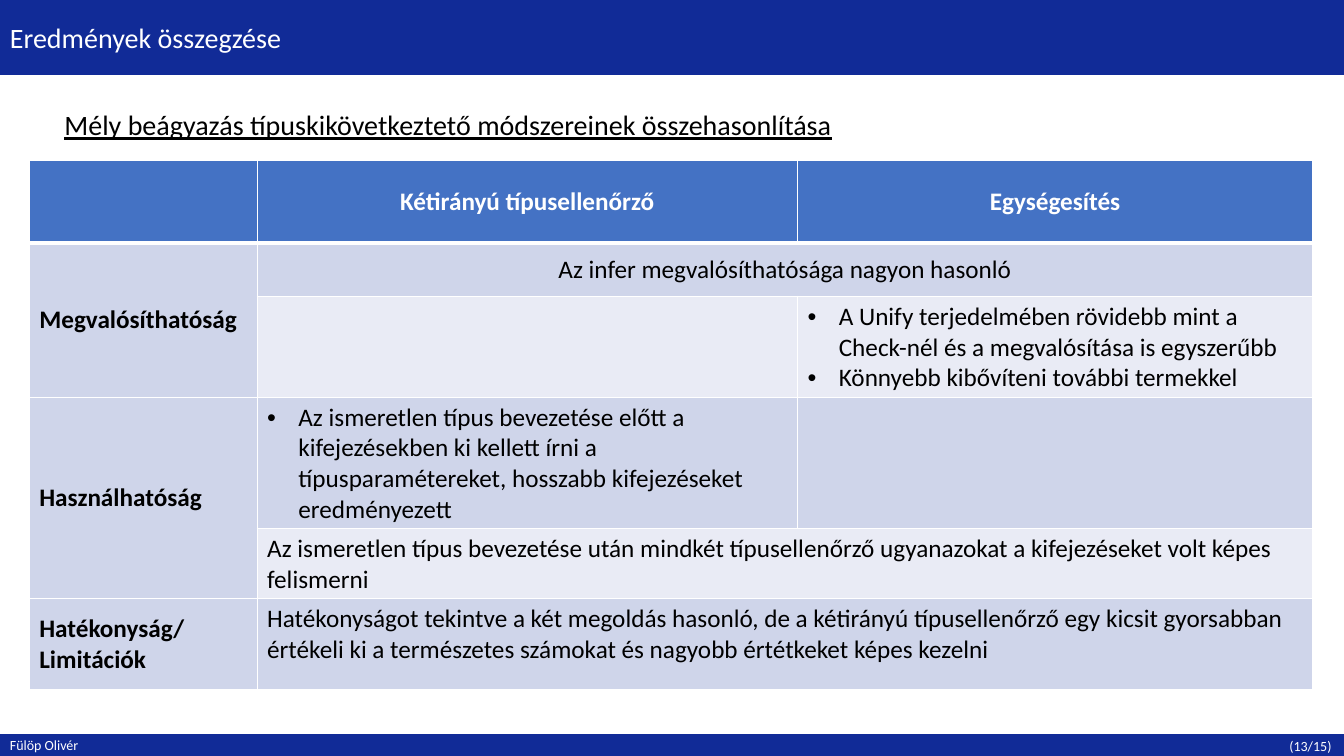
from pptx import Presentation
from pptx.dml.color import RGBColor as RGB
from pptx.enum.shapes import MSO_SHAPE as Shape
from pptx.enum.text import MSO_ANCHOR as Anchor, PP_ALIGN as Align
from pptx.oxml import parse_xml
from pptx.oxml.ns import nsdecls
from pptx.util import Inches, Pt

COLORS = {"navy": "112B97", "head": "4472C4", "dark": "CFD5EA",
          "light": "E9EBF5", "white": "FFFFFF", "black": "000000"}


def color(name):
    return RGB.from_string(COLORS[name])


def write(para, text, size, tint, bold=False, under=False):
    run = para.add_run()
    run.text = text
    font = run.font
    font.name, font.size = "Calibri", Pt(size)
    font.bold, font.underline = bold, under
    font.color.rgb = color(tint)


prs = Presentation()
prs.slide_width, prs.slide_height = Inches(13.33), Inches(7.5)
slide = prs.slides.add_slide(prs.slide_layouts[6])

# Top and bottom bars
for top, height in [(0, 0.74), (7.29, 0.21)]:
    bar = slide.shapes.add_shape(
        Shape.RECTANGLE, 0, Inches(top), Inches(13.33), Inches(height))
    bar.shadow.inherit = False
    bar.fill.solid()
    bar.fill.fore_color.rgb = color("navy")
    bar.line.color.rgb = color("navy")
    bar.line.width = Pt(1)

# Title, subtitle and footer
labels = [
    (0, 0.15, 5.32, 0.44, "Eredmények összegzése", 20, "white", False),
    (0.54, 1.02, 7.92, 0.44,
     "Mély beágyazás típuskikövetkeztető módszereinek összehasonlítása",
     20, "black", True),
    (0, 7.26, 1.08, 0.27, "Fülöp Olivér", 10, "white", False),
    (12.69, 7.27, 0.64, 0.27, "(13/15)", 10, "white", False),
]
for left, top, width, height, text, size, tint, under in labels:
    box = slide.shapes.add_textbox(
        Inches(left), Inches(top), Inches(width), Inches(height))
    box.text_frame.word_wrap = size == 20
    write(box.text_frame.paragraphs[0], text, size, tint, under=under)

# Table grid
widths = [2.26, 5.36, 5.11]
heights = [0.82, 0.53, 1, 1.3, 0.7, 0.9]
table = slide.shapes.add_table(
    len(heights), len(widths), Inches(0.29), Inches(1.59),
    Inches(sum(widths)), Inches(sum(heights))).table
table.horz_banding = False
for col, width in zip(table.columns, widths):
    col.width = Inches(width)
for row, height in zip(table.rows, heights):
    row.height = Inches(height)

# Cell borders and fills, with a thick line under the header
bands = ["head", "dark", "light", "dark", "light", "dark"]
for r, band in enumerate(bands):
    for c in range(len(widths)):
        cell = table.cell(r, c)
        for side in "LRTB":
            thick = (r, side) in [(0, "B"), (1, "T")]
            cell._tc.get_or_add_tcPr().append(parse_xml(
                f'<a:ln{side} {nsdecls("a")} w="{Pt(3 if thick else 1)}">'
                f'<a:solidFill><a:srgbClr val="{COLORS["white"]}"/>'
                f'</a:solidFill></a:ln{side}>'))
        cell.fill.solid()
        cell.fill.fore_color.rgb = color("dark" if r and c == 0 else band)

# Merged cells
for r, c, end, last in [(1, 0, 2, 0), (3, 0, 4, 0),
                        (1, 1, 1, 2), (4, 1, 4, 2), (5, 1, 5, 2)]:
    table.cell(r, c).merge(table.cell(end, last))

# Cell text: row, column, style, paragraphs
texts = [
    (0, 1, "head", ["Kétirányú típusellenőrző"]),
    (0, 2, "head", ["Egységesítés"]),
    (1, 0, "side", ["Megvalósíthatóság"]),
    (1, 1, "mid", ["Az infer megvalósíthatósága nagyon hasonló"]),
    (2, 2, "list", ["A Unify terjedelmében rövidebb mint a Check-nél "
                    "és a megvalósítása is egyszerűbb",
                    "Könnyebb kibővíteni további termekkel"]),
    (3, 0, "side", ["Használhatóság"]),
    (3, 1, "list", ["Az ismeretlen típus bevezetése előtt a kifejezésekben "
                    "ki kellett írni a típusparamétereket, hosszabb "
                    "kifejezéseket eredményezett"]),
    (4, 1, "body", ["Az ismeretlen típus bevezetése után mindkét "
                    "típusellenőrző ugyanazokat a kifejezéseket volt képes "
                    "felismerni"]),
    (5, 0, "side", ["Hatékonyság/ Limitációk"]),
    (5, 1, "body", ["Hatékonyságot tekintve a két megoldás hasonló, de a "
                    "kétirányú típusellenőrző egy kicsit gyorsabban értékeli "
                    "ki a természetes számokat és nagyobb értétkeket képes "
                    "kezelni"]),
]
for r, c, style, lines in texts:
    cell = table.cell(r, c)
    if style in ("head", "side", "mid"):
        cell.vertical_anchor = Anchor.MIDDLE
    frame = cell.text_frame
    for i, line in enumerate(lines):
        para = frame.add_paragraph() if i else frame.paragraphs[0]
        if style in ("head", "mid"):
            para.alignment = Align.CENTER
        if style == "list":
            props = para._p.get_or_add_pPr()
            props.set("marL", str(Inches(0.31)))
            props.set("indent", str(Inches(-0.31)))
            props.append(parse_xml(
                f'<a:buFont {nsdecls("a")} typeface="Arial"/>'))
            props.append(parse_xml(f'<a:buChar {nsdecls("a")} char="•"/>'))
        write(para, line, 18, "white" if style == "head" else "black",
              bold=style in ("head", "side"))

prs.save("out.pptx")
